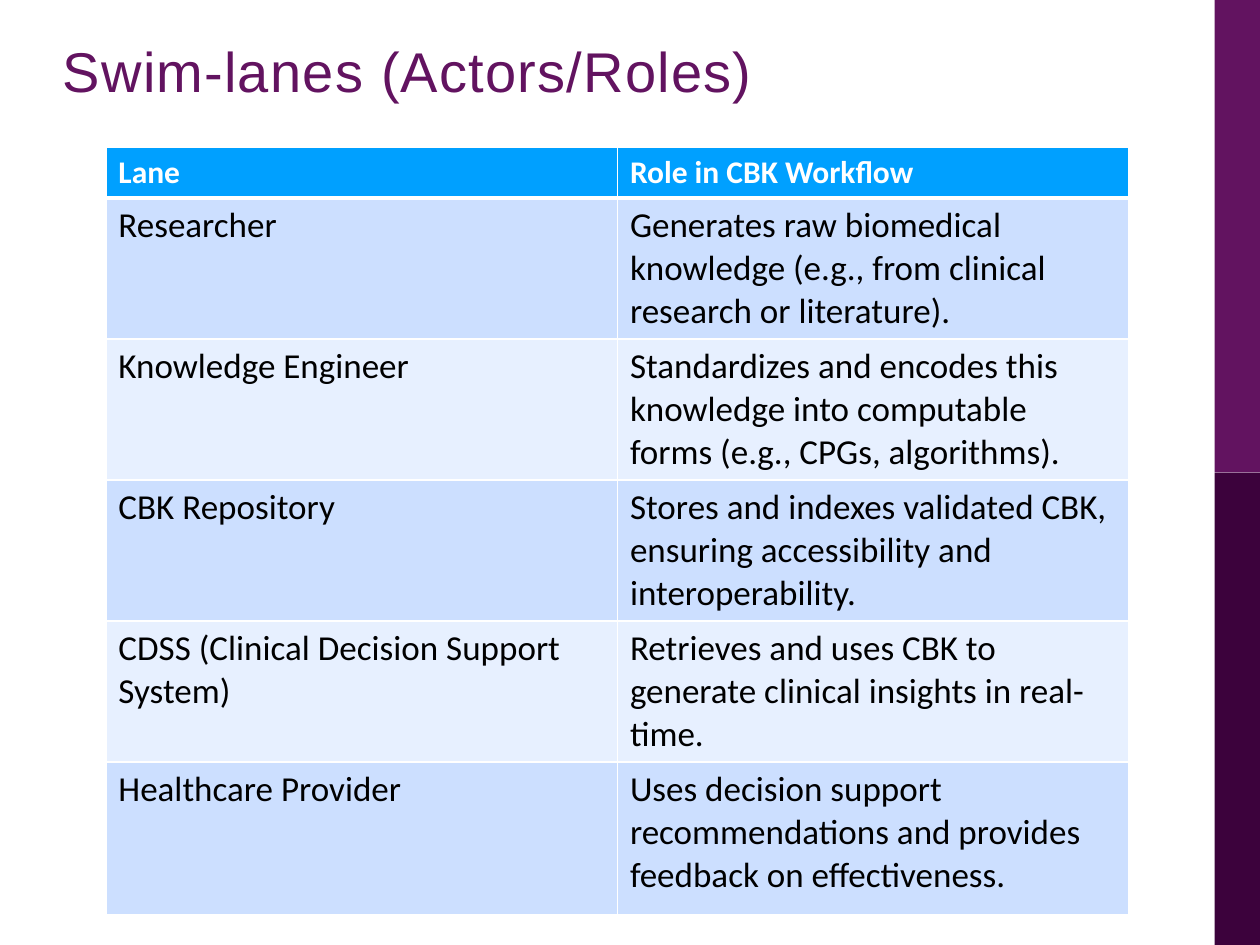
import pptx
import pptx.dml.color
import pptx.enum.shapes
import pptx.enum.text
import pptx.oxml
import pptx.oxml.ns
import pptx.util
from pptx.util import Inches

COLORS = {
    "plum": "621360",
    "dark_plum": "3C023C",
    "header": "00A0FF",
    "band_dark": "CCDFFF",
    "band_light": "E7F0FF",
    "white": "FFFFFF",
    "black": "000000",
}


def write_text(text_frame, text, *, font="Calibri", size=20, color="black", bold=False, spacing=None):
    text_frame.word_wrap = True
    run = text_frame.paragraphs[0].add_run()
    run.text = text
    run.font.name = font
    run.font.size = pptx.util.Pt(size)
    run.font.bold = bold
    run.font.color.rgb = pptx.dml.color.RGBColor.from_string(COLORS[color])
    if spacing is not None:
        run.font._element.set("spc", str(round(spacing * 100)))


def set_borders(cell, widths):
    properties = cell._tc.get_or_add_tcPr()
    for position, (side, width) in enumerate(widths.items()):
        border = pptx.oxml.parse_xml(
            f'<a:{side} {pptx.oxml.ns.nsdecls("a")} w="{pptx.util.Pt(width)}">'
            f'<a:solidFill><a:srgbClr val="{COLORS["white"]}"/></a:solidFill></a:{side}>'
        )
        properties.insert(position, border)


presentation = pptx.Presentation()
presentation.slide_width = Inches(10)
presentation.slide_height = Inches(7.5)
slide = presentation.slides.add_slide(presentation.slide_layouts[6])

for top, color in [(3.75, "dark_plum"), (0, "plum")]:
    side_bar = slide.shapes.add_shape(
        pptx.enum.shapes.MSO_SHAPE.RECTANGLE, Inches(9.64), Inches(top), Inches(0.36), Inches(3.75)
    )
    side_bar.shadow.inherit = False
    side_bar.fill.solid()
    side_bar.fill.fore_color.rgb = pptx.dml.color.RGBColor.from_string(COLORS[color])
    side_bar.line.fill.background()

title = slide.shapes.add_textbox(Inches(0.4), Inches(0.24), Inches(9.14), Inches(0.8))
write_text(title.text_frame, "Swim-lanes (Actors/Roles)", font="Arial", size=32, color="plum", spacing=0.7)

lanes = [
    ("Lane", "Role in CBK Workflow"),
    ("Researcher", "Generates raw biomedical knowledge (e.g., from clinical research or literature)."),
    ("Knowledge Engineer", "Standardizes and encodes this knowledge into computable forms (e.g., CPGs, algorithms)."),
    ("CBK Repository", "Stores and indexes validated CBK, ensuring accessibility and interoperability."),
    ("CDSS (Clinical Decision Support System)", "Retrieves and uses CBK to generate clinical insights in real-time."),
    ("Healthcare Provider", "Uses decision support recommendations and provides feedback on effectiveness."),
]
row_heights = [0.4] + [1.12] * 4 + [1.21]

table = slide.shapes.add_table(
    len(lanes), 2, Inches(0.84), Inches(1.17), Inches(8.12), Inches(sum(row_heights))
).table
for column in table.columns:
    column.width = Inches(4.06)

for row_index, (lane, height) in enumerate(zip(lanes, row_heights)):
    table.rows[row_index].height = Inches(height)
    is_header = row_index == 0
    fill = "header" if is_header else ("band_light", "band_dark")[row_index % 2]
    for column_index, text in enumerate(lane):
        cell = table.cell(row_index, column_index)
        cell.fill.solid()
        cell.fill.fore_color.rgb = pptx.dml.color.RGBColor.from_string(COLORS[fill])
        set_borders(cell, {
            "lnL": 1,
            "lnR": 1,
            "lnT": 3 if row_index == 1 else 1,
            "lnB": 3 if is_header else 1,
        })
        write_text(
            cell.text_frame,
            text,
            size=18 if is_header else 20,
            color="white" if is_header else "black",
            bold=is_header,
        )

table.cell(1, 1).vertical_anchor = pptx.enum.text.MSO_ANCHOR.MIDDLE

presentation.save("out.pptx")
